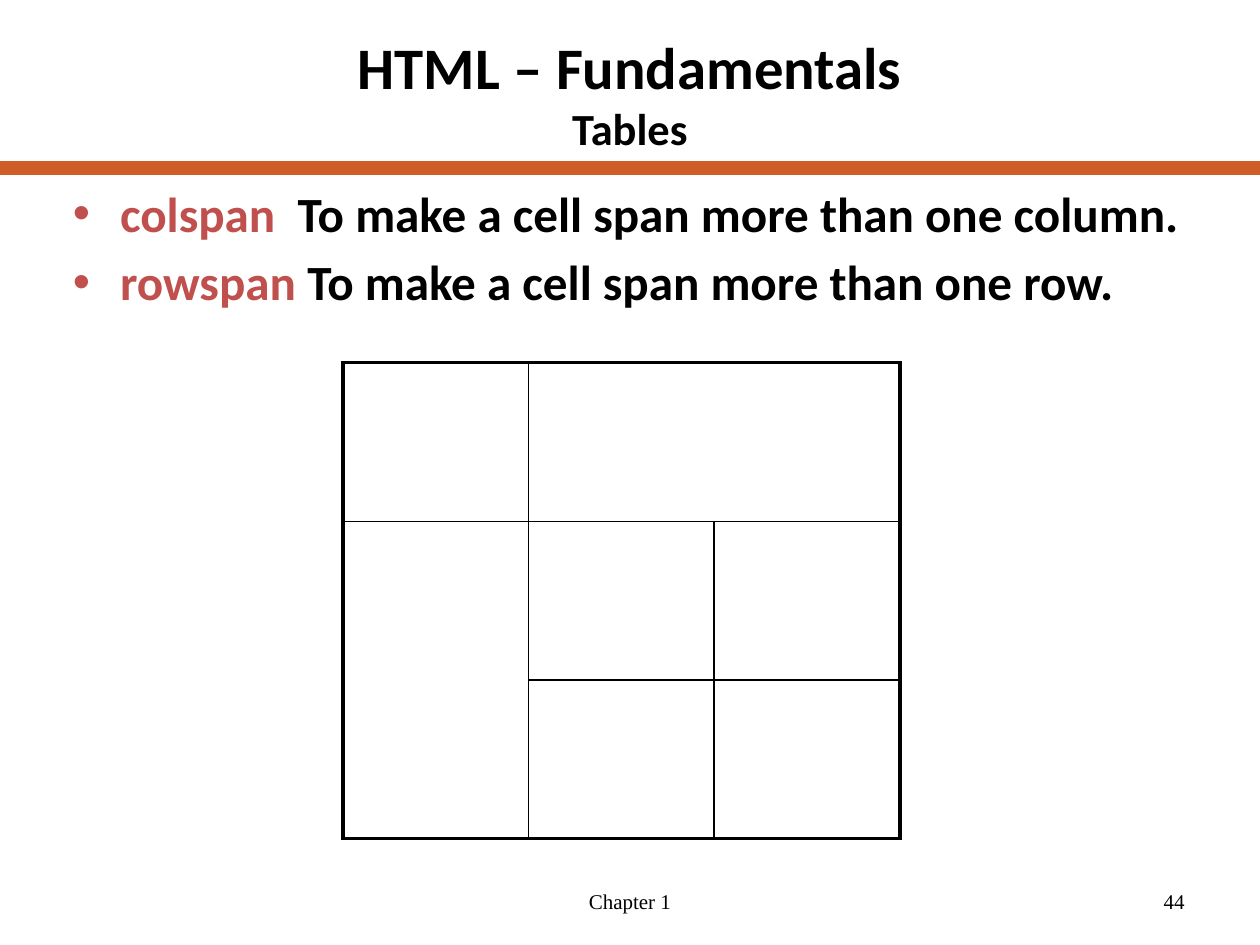
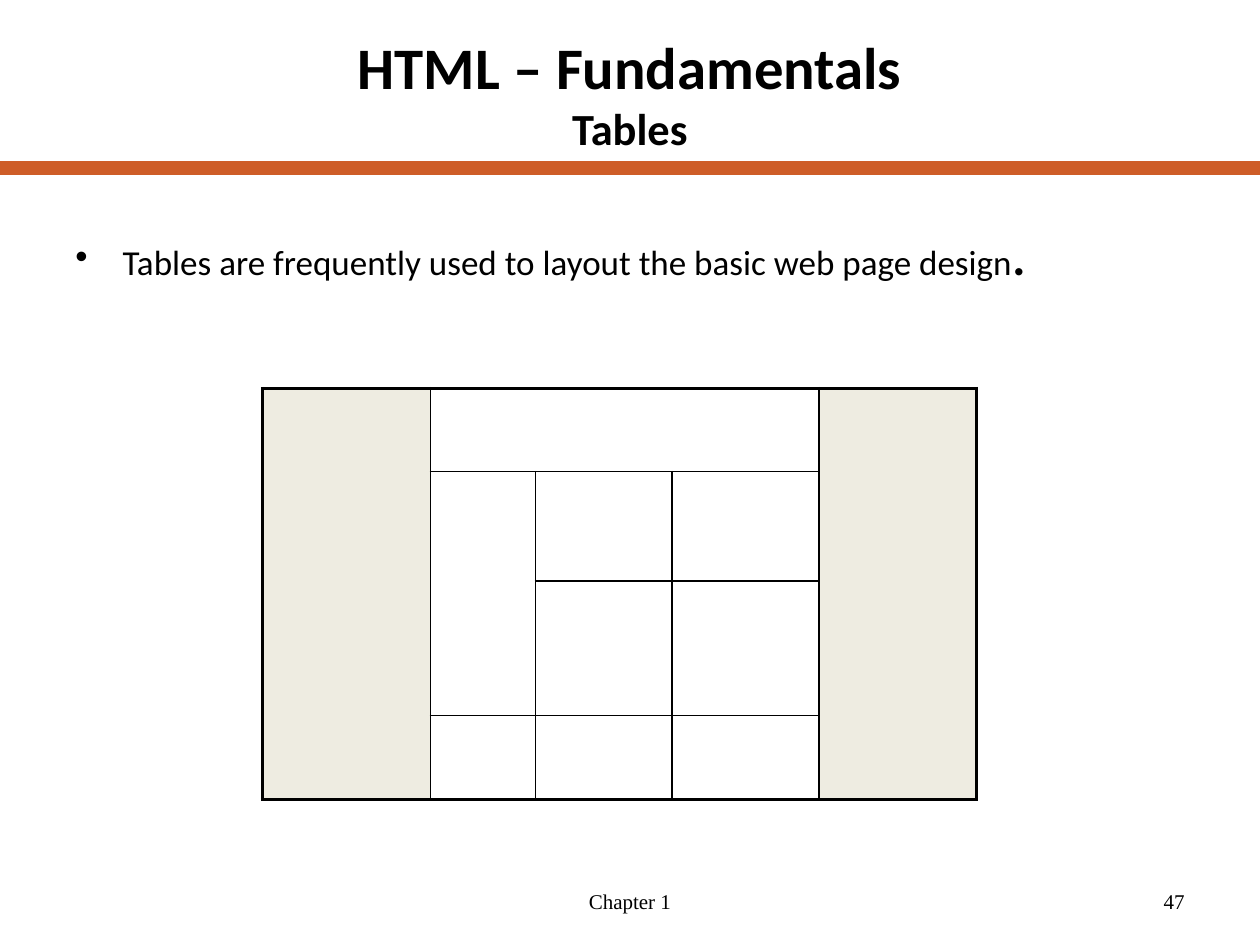
from lxml import etree
from pptx import Presentation
from pptx.dml.color import RGBColor
from pptx.enum.shapes import MSO_CONNECTOR
from pptx.enum.text import MSO_ANCHOR, PP_ALIGN
from pptx.oxml.ns import qn
from pptx.util import Pt

LEFT, CENTER, RIGHT = PP_ALIGN.LEFT, PP_ALIGN.CENTER, PP_ALIGN.RIGHT
TOP, MIDDLE = MSO_ANCHOR.TOP, MSO_ANCHOR.MIDDLE
STRAIGHT = MSO_CONNECTOR.STRAIGHT
COLORS = {"ink": "000000", "band": "CE5D28", "term": "C0504D", "side": "EEECE1"}
PLAIN_STYLE = "{2D5ABB26-0587-4C30-8999-92F81FD0307C}"
THICK, THIN = 2.25, 1
INDENT = 27


def add_text(slide, box, paras, font="Calibri", align=LEFT, anchor=TOP, bullet=False):
    """Each paragraph is a list of runs: (text, size, bold, colour name)."""
    frame = slide.shapes.add_textbox(*map(Pt, box)).text_frame
    frame.word_wrap = True
    frame.vertical_anchor = anchor
    for i, runs in enumerate(paras):
        para = frame.paragraphs[0] if i == 0 else frame.add_paragraph()
        para.alignment = align
        if i:
            para.space_before = Pt(5.6)
        if bullet:
            props = para._p.get_or_add_pPr()
            props.set("marL", str(Pt(INDENT)))
            props.set("indent", str(-Pt(INDENT)))
            etree.SubElement(props, qn("a:buFont")).set("typeface", "Arial")
            etree.SubElement(props, qn("a:buChar")).set("char", "•")
        for words, size, bold, color in runs:
            run = para.add_run()
            run.text = words.rstrip("\n")
            run.font.name = font
            run.font.size = Pt(size)
            run.font.bold = bold
            run.font.color.rgb = RGBColor.from_string(COLORS[color])
            if words.endswith("\n"):
                para.add_line_break()


def add_grid(slide, left, top, cols, rows, spans, shaded):
    """Spans map (row, column) to (height, width); the outer frame is thick."""
    frame = slide.shapes.add_table(len(rows), len(cols), Pt(left), Pt(top),
                                   Pt(sum(cols)), Pt(sum(rows)))
    table = frame.table
    table._tbl.tblPr.find(qn("a:tableStyleId")).text = PLAIN_STYLE
    table.first_row = table.horz_banding = False
    for col, width in zip(table.columns, cols):
        col.width = Pt(width)
    for row, height in zip(table.rows, rows):
        row.height = Pt(height)
    for (r, c), (high, wide) in spans.items():
        table.cell(r, c).merge(table.cell(r + high - 1, c + wide - 1))
    for r in range(len(rows)):
        for c in range(len(cols)):
            cell = table.cell(r, c)
            if cell.is_spanned:
                continue
            high, wide = spans.get((r, c), (1, 1))
            outer = {"L": c == 0, "R": c + wide == len(cols),
                     "T": r == 0, "B": r + high == len(rows)}
            props = cell._tc.get_or_add_tcPr()
            for side, thick in outer.items():
                line = etree.SubElement(props, qn("a:ln" + side))
                line.set("w", str(Pt(THICK if thick else THIN)))
                fill = etree.SubElement(line, qn("a:solidFill"))
                etree.SubElement(fill, qn("a:srgbClr")).set("val", COLORS["ink"])
            if (r, c) in shaded:
                cell.fill.solid()
                cell.fill.fore_color.rgb = RGBColor.from_string(COLORS["side"])
            else:
                cell.fill.background()


pages = [
    {"number": "44", "body": (34.5, 101, 661, 102),
     "points": [
         [("colspan ", 28.1, True, "term"),
          (" To make a cell span more than one column.", 28.1, True, "ink")],
         [("rowspan ", 28.1, True, "term"),
          ("To make a cell span more than one row.", 28.1, True, "ink")]],
     "grid": {"left": 196, "top": 207.2, "cols": [106.1] * 3, "rows": [90.7] * 3,
              "spans": {(0, 1): (1, 2), (1, 0): (2, 1)}, "shaded": []}},
    {"number": "47", "body": (36, 126, 648, 42.5),
     "points": [
         [("Tables are frequently used to layout the basic web page design",
           20, False, "ink"), (".", 28.1, True, "ink")]],
     "grid": {"left": 150, "top": 222, "cols": [96, 60, 78, 84, 90],
              "rows": [47.5, 62.5, 77, 48],
              "spans": {(0, 0): (4, 1), (0, 1): (1, 3), (0, 4): (4, 1), (1, 1): (2, 1)},
              "shaded": [(0, 0), (0, 4)]}},
]

deck = Presentation()
deck.slide_width, deck.slide_height = Pt(720), Pt(540)
for page in pages:
    slide = deck.slides.add_slide(deck.slide_layouts[6])
    band = slide.shapes.add_connector(STRAIGHT, 0, Pt(96), Pt(720), Pt(96))
    band.line.color.rgb = RGBColor.from_string(COLORS["band"])
    band.line.width = Pt(8)
    etree.SubElement(band._element.spPr, qn("a:effectLst"))
    add_text(slide, (36, 8, 648, 90),
             [[("HTML – Fundamentals\n", 33.6, True, "ink"), ("Tables", 25.4, True, "ink")]],
             align=CENTER, anchor=MIDDLE)
    add_text(slide, page["body"], page["points"], bullet=True)
    add_grid(slide, **page["grid"])
    for words, left, width, align in [(page["number"], 516, 168, RIGHT),
                                      ("Chapter 1", 246, 228, CENTER)]:
        add_text(slide, (left, 500.5, width, 28.5), [[(words, 12, False, "ink")]],
                 font="Times New Roman", align=align, anchor=MIDDLE)
deck.save("out.pptx")
